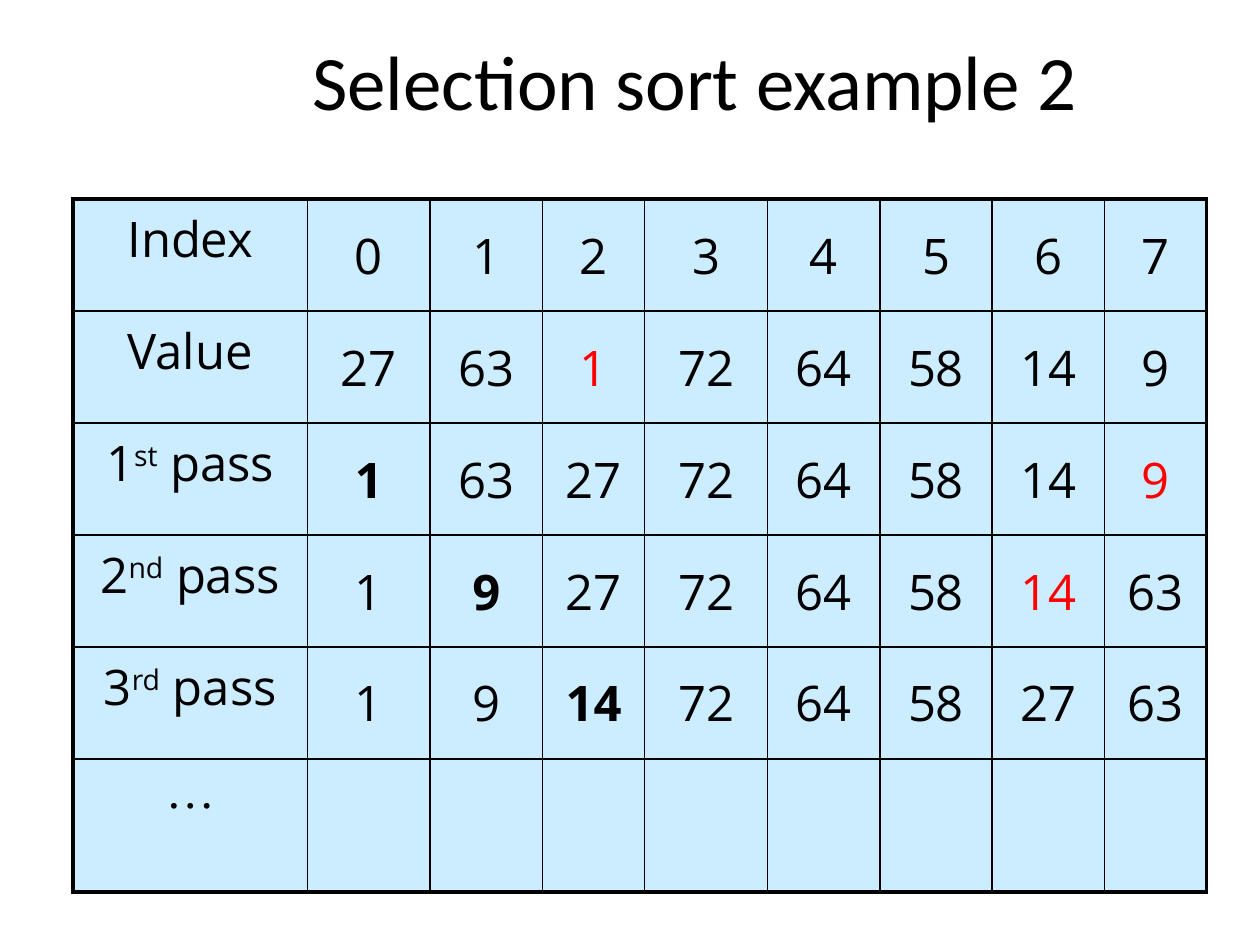
from dataclasses import dataclass
from typing import Any

from lxml.etree import SubElement
from pptx import Presentation
from pptx.dml.color import RGBColor
from pptx.enum.text import MSO_ANCHOR, MSO_AUTO_SIZE, PP_ALIGN
from pptx.oxml.ns import qn
from pptx.util import Inches, Pt


@dataclass(frozen=True)
class Theme:
    ink: RGBColor = RGBColor(0, 0, 0)
    highlight: RGBColor = RGBColor(0xFF, 0, 0)
    cell_fill: RGBColor = RGBColor(0xCC, 0xEC, 0xFF)
    title_font: str = "Calibri"
    table_font: str = "Open Sans"
    ellipsis_font: str = "Times New Roman"
    title_size: int = Pt(44)
    table_size: int = Pt(28)
    space_before: int = Pt(5.6)
    inner_line: int = Pt(1)
    outer_line: int = Pt(2.25)


@dataclass(frozen=True)
class Piece:
    text: str
    raised: bool = False
    bold: bool = False
    color: RGBColor = Theme.ink
    font: str = Theme.table_font


@dataclass(frozen=True)
class Row:
    label: list[Piece]
    numbers: list[Piece]


THEME = Theme()
SLIDE_WIDTH, SLIDE_HEIGHT = Inches(10), Inches(7.5)
START_VALUES = [27, 63, 1, 72, 64, 58, 14, 9]
ORDINALS = ["st", "nd", "rd"]
COLUMN_PERCENTS = [18.6, 9.75, 8.92, 8.1, 9.75, 8.92, 8.92, 8.92, 8.1]
ROW_PERCENTS = [11.85] * 5 + [14.1]


def across(percent: float) -> int:
    return round(SLIDE_WIDTH * percent / 100)


def down(percent: float) -> int:
    return round(SLIDE_HEIGHT * percent / 100)


def apply_format(target: Any, values: dict[str, Any]) -> None:
    for name, value in values.items():
        setattr(target, name, value)


def build_rows() -> list[Row]:
    indexes = [Piece(str(index)) for index in range(len(START_VALUES))]
    rows = [Row([Piece("Index")], indexes)]
    values = list(START_VALUES)
    for step in range(len(ORDINALS) + 1):
        smallest = values.index(min(values[step:]))
        has_next = step < len(ORDINALS)
        numbers = [
            Piece(
                str(value),
                bold=position == step - 1,
                color=THEME.highlight if has_next and position == smallest else THEME.ink,
            )
            for position, value in enumerate(values)
        ]
        label = [Piece("Value")]
        if step:
            label = [Piece(str(step)), Piece(ORDINALS[step - 1], raised=True), Piece(" pass")]
        rows.append(Row(label, numbers))
        values[step], values[smallest] = values[smallest], values[step]
    rows.append(Row([Piece("…", font=THEME.ellipsis_font)], []))
    return rows


def write_cell(cell: Any, pieces: list[Piece], anchor: MSO_ANCHOR) -> None:
    cell.vertical_anchor = anchor
    paragraph = cell.text_frame.paragraphs[0]
    apply_format(paragraph, {"alignment": PP_ALIGN.CENTER, "space_before": THEME.space_before})
    for piece in pieces:
        run = paragraph.add_run()
        run.text = piece.text
        apply_format(run.font, {"name": piece.font, "size": THEME.table_size, "bold": piece.bold})
        run.font.color.rgb = piece.color
        if piece.raised:
            run._r.get_or_add_rPr().set("baseline", "30000")


def style_cell(cell: Any, outer_edges: dict[str, bool]) -> None:
    properties = cell._tc.get_or_add_tcPr()
    for edge, is_outer in outer_edges.items():
        width = THEME.outer_line if is_outer else THEME.inner_line
        line = SubElement(properties, qn(f"a:ln{edge}"), w=str(int(width)))
        fill = SubElement(line, qn("a:solidFill"))
        SubElement(fill, qn("a:srgbClr"), val=str(THEME.ink))
    fill = SubElement(properties, qn("a:solidFill"))
    SubElement(fill, qn("a:srgbClr"), val=str(THEME.cell_fill))


def add_title(slide: Any, text: str) -> None:
    title = slide.shapes.title
    apply_format(title, {
        "left": across(12.5), "top": down(2.27), "width": across(85.3), "height": down(12.27),
    })
    apply_format(title.text_frame, {
        "text": text, "word_wrap": True,
        "auto_size": MSO_AUTO_SIZE.NONE, "vertical_anchor": MSO_ANCHOR.MIDDLE,
    })
    paragraph = title.text_frame.paragraphs[0]
    paragraph.alignment = PP_ALIGN.CENTER
    font = paragraph.runs[0].font
    apply_format(font, {"name": THEME.title_font, "size": THEME.title_size})
    font.color.rgb = THEME.ink


def add_sort_table(slide: Any, rows: list[Row]) -> None:
    row_count, column_count = len(rows), len(COLUMN_PERCENTS)
    table = slide.shapes.add_table(
        row_count, column_count, across(5.8), down(21.07),
        across(sum(COLUMN_PERCENTS)), down(sum(ROW_PERCENTS)),
    ).table
    apply_format(table, {"first_row": False, "horz_banding": False})
    for column, percent in zip(table.columns, COLUMN_PERCENTS):
        column.width = across(percent)
    for table_row, percent in zip(table.rows, ROW_PERCENTS):
        table_row.height = down(percent)
    for row_index, row in enumerate(rows):
        for column_index in range(column_count):
            style_cell(table.cell(row_index, column_index), {
                "L": column_index == 0, "R": column_index == column_count - 1,
                "T": row_index == 0, "B": row_index == row_count - 1,
            })
        write_cell(table.cell(row_index, 0), row.label, MSO_ANCHOR.TOP)
        for column_index, number in enumerate(row.numbers, start=1):
            write_cell(table.cell(row_index, column_index), [number], MSO_ANCHOR.MIDDLE)


def main() -> None:
    presentation = Presentation()
    apply_format(presentation, {"slide_width": SLIDE_WIDTH, "slide_height": SLIDE_HEIGHT})
    slide = presentation.slides.add_slide(presentation.slide_layouts.get_by_name("Title Only"))
    add_sort_table(slide, build_rows())
    add_title(slide, "Selection sort example 2")
    presentation.save("out.pptx")


main()
